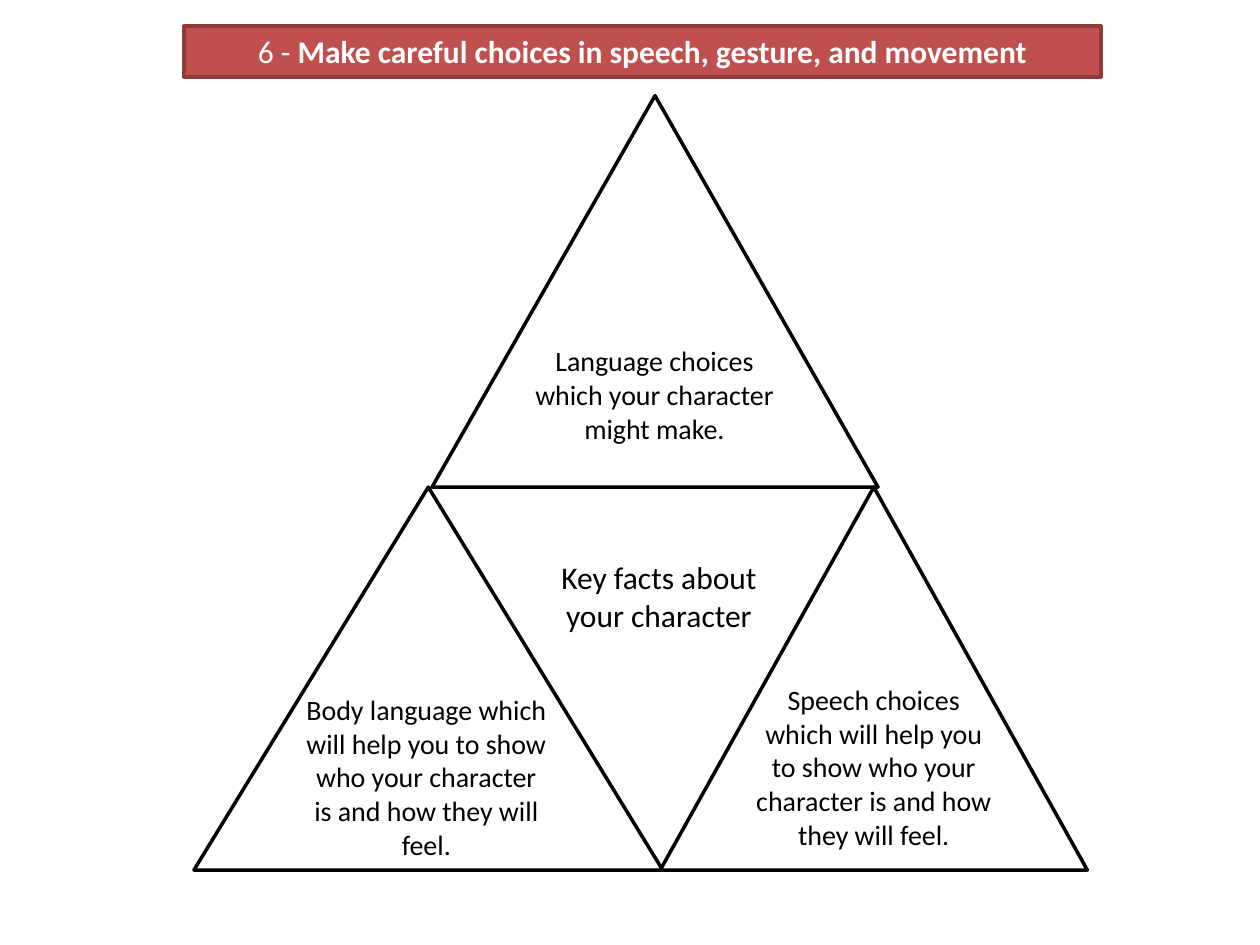
from dataclasses import dataclass

from pptx import Presentation
from pptx.dml.color import RGBColor
from pptx.enum.shapes import MSO_SHAPE
from pptx.enum.text import MSO_ANCHOR, PP_ALIGN
from pptx.util import Cm, Pt

BLACK, WHITE, RED, DARK_RED = "000000", "FFFFFF", "C0504D", "8E3B39"


@dataclass
class Box:
    """Position and size in centimetres."""
    left: float
    top: float
    width: float
    height: float

    def lengths(self) -> tuple:
        return Cm(self.left), Cm(self.top), Cm(self.width), Cm(self.height)


@dataclass
class Label:
    text: str
    box: Box
    size: int = 16


TRIANGLES = [
    Box(8.71, 1.93, 8.99, 7.89),
    Box(3.91, 9.82, 9.45, 7.72),
    Box(13.31, 9.82, 8.61, 7.72),
]
LABELS = [
    Label("Key facts about your character", Box(10.49, 11.13, 5.59, 1.8), 18),
    Label("Body language which will help you to show who your character "
          "is and how they will feel.", Box(5.89, 13.84, 5.41, 3.68)),
    Label("Speech choices which will help you to show who your character "
          "is and how they will feel.", Box(14.91, 13.64, 5.41, 3.68)),
    Label("Language choices which your character might make.",
          Box(10.49, 6.81, 5.41, 2.31)),
]
TITLE_BOX = Box(3.71, 0.53, 18.49, 1.02)
TITLE_RUNS = [("6 - ", False),
              ("Make careful choices in speech, gesture, and movement", True)]


def rgb(color: str) -> RGBColor:
    return RGBColor.from_string(color)


def style_font(font, size: int, color: str, bold: bool = False) -> None:
    font.name = "Calibri"
    font.size = Pt(size)
    font.bold = bold
    font.color.rgb = rgb(color)


def add_outlined(s, kind: MSO_SHAPE, box: Box, fill: str, line: str):
    sp = s.shapes.add_shape(kind, *box.lengths())
    sp.shadow.inherit = False
    sp.fill.solid()
    sp.fill.fore_color.rgb = rgb(fill)
    sp.line.color.rgb = rgb(line)
    sp.line.width = Pt(2)
    return sp


def add_label(s, label: Label) -> None:
    tf = s.shapes.add_textbox(*label.box.lengths()).text_frame
    tf.word_wrap = True
    p = tf.paragraphs[0]
    p.text = label.text
    p.alignment = PP_ALIGN.CENTER
    style_font(p.runs[0].font, label.size, BLACK)


def add_title(s) -> None:
    sp = add_outlined(s, MSO_SHAPE.RECTANGLE, TITLE_BOX, RED, DARK_RED)
    tf = sp.text_frame
    tf.word_wrap = True
    tf.vertical_anchor = MSO_ANCHOR.TOP
    p = tf.paragraphs[0]
    p.alignment = PP_ALIGN.CENTER
    for text, bold in TITLE_RUNS:
        r = p.add_run()
        r.text = text
        style_font(r.font, 18, WHITE, bold)


def main() -> None:
    prs = Presentation()
    prs.slide_width, prs.slide_height = Cm(25.4), Cm(19.05)
    s = prs.slides.add_slide(prs.slide_layouts[6])
    for box in TRIANGLES:
        add_outlined(s, MSO_SHAPE.ISOSCELES_TRIANGLE, box, WHITE, BLACK)
    for label in LABELS:
        add_label(s, label)
    add_title(s)
    prs.save("out.pptx")


if __name__ == "__main__":
    main()
